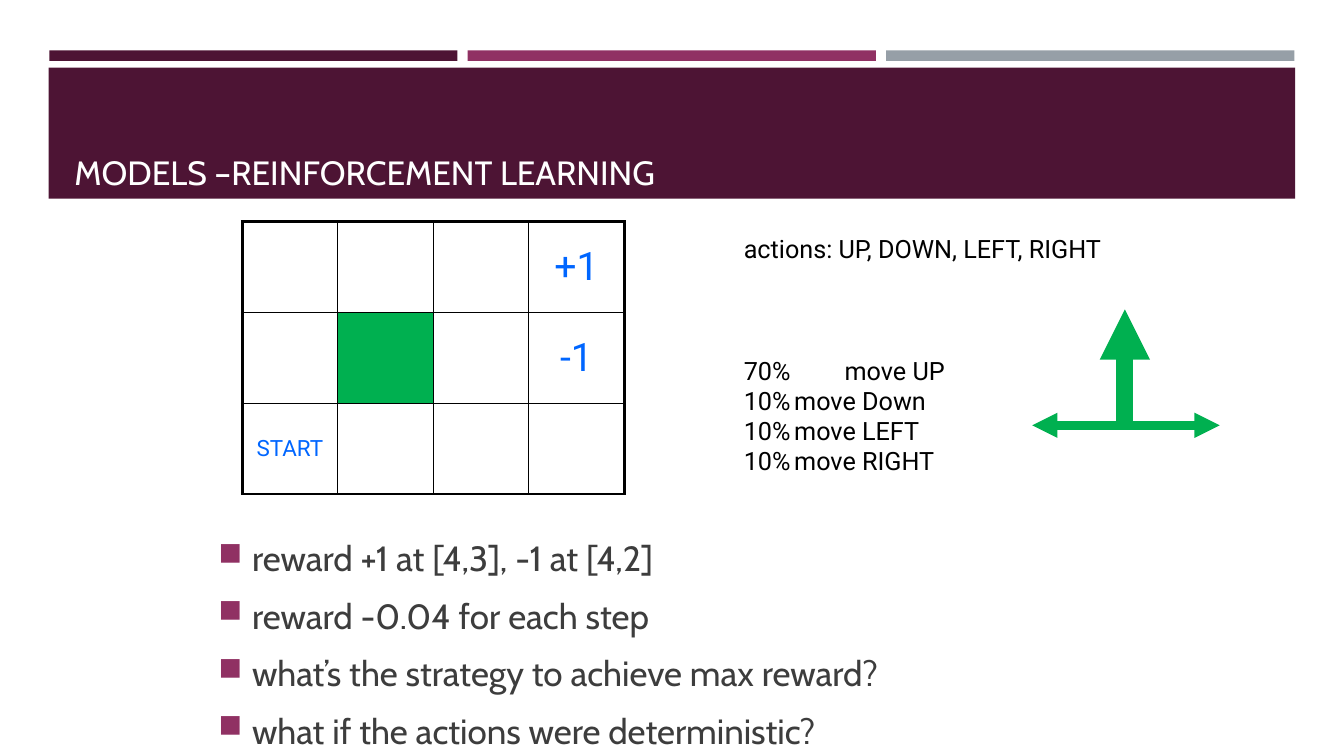
from lxml import etree
from pptx import Presentation
from pptx.dml.color import RGBColor
from pptx.enum.shapes import MSO_CONNECTOR, MSO_SHAPE
from pptx.enum.text import MSO_ANCHOR, PP_ALIGN
from pptx.oxml.ns import qn
from pptx.util import Pt

LINE = MSO_CONNECTOR.STRAIGHT
RECT = MSO_SHAPE.RECTANGLE
CENTER = PP_ALIGN.CENTER
TOP, MIDDLE, BOTTOM = MSO_ANCHOR.TOP, MSO_ANCHOR.MIDDLE, MSO_ANCHOR.BOTTOM

PLUM = RGBColor(0x4D, 0x14, 0x34)
MAGENTA = RGBColor(0x90, 0x31, 0x63)
GRAY = RGBColor(0x96, 0x9F, 0xA7)
GREEN = RGBColor(0x00, 0xB0, 0x50)
BLUE = RGBColor(0x00, 0x66, 0xFF)
DARK = RGBColor(0x3D, 0x3D, 0x3D)
BLACK = RGBColor(0, 0, 0)
WHITE = RGBColor(255, 255, 255)

TITLE = "MODELS –REINFORCEMENT LEARNING"
GRID = [["", "", "", "+1"],
        ["", "", "", "-1"],
        ["START", "", "", ""]]
WALL = (1, 1)
ACTIONS = "actions: UP, DOWN, LEFT, RIGHT"
ODDS = ["70% \tmove UP", "10%\tmove Down", "10%\tmove LEFT", "10%\tmove RIGHT"]
BULLETS = ["reward +1 at [4,3], -1 at [4,2]",
           "reward -0.04 for each step",
           "what’s the strategy to achieve max reward?",
           "what if the actions were deterministic?"]

BAR_COLORS = [PLUM, MAGENTA, GRAY]
BAR_LEFT, BAR_PITCH, BAR_WIDTH = 35.2, 301.5 - 2.6, 291.6
CELL_W, CELL_H = 68.25, 64.8
THIN, THICK = 1, 2.25
HUB = (803.5, 303.8)
ARROWS = [((803.5, 221), 12), ((871.2, 303.8), 6), ((737.3, 303.8), 6)]


def set_font(p, name, size, color):
    p.font.name, p.font.size, p.font.color.rgb = name, Pt(size), color


def sub(parent, tag, **attrs):
    return etree.SubElement(parent, qn(tag), {k: str(v) for k, v in attrs.items()})


def add_band(s, left, top, width, height, color):
    """Add a plain rectangle behind the title."""
    sp = s.shapes.add_shape(RECT, Pt(left), Pt(top), Pt(width), Pt(height))
    sp.shadow.inherit = False
    sp.fill.solid()
    sp.fill.fore_color.rgb = color
    sp.line.fill.background()
    s.shapes.title._element.addprevious(sp._element)


def add_text(s, left, top, width, height, lines):
    tf = s.shapes.add_textbox(Pt(left), Pt(top), Pt(width), Pt(height)).text_frame
    tf.word_wrap = True
    tf.vertical_anchor = TOP
    tf.text = "\n".join(lines)
    return tf.paragraphs


def set_borders(cell, widths):
    """Set left, right, top and bottom border widths, in that order."""
    tcPr = cell._tc.get_or_add_tcPr()
    for side, width in zip("LRTB", widths):
        ln = sub(tcPr, f"a:ln{side}", w=Pt(width))
        sub(sub(ln, "a:solidFill"), "a:srgbClr", val=BLACK)


def add_grid(s):
    rows, cols = len(GRID), len(GRID[0])
    frame = s.shapes.add_table(rows, cols, Pt(173), Pt(158.4),
                               Pt(cols * CELL_W), Pt(rows * CELL_H))
    table = frame.table
    table.first_row = table.horz_banding = False
    for col in table.columns:
        col.width = Pt(CELL_W)
    for r, row in enumerate(GRID):
        table.rows[r].height = Pt(CELL_H)
        for c, text in enumerate(row):
            cell = table.cell(r, c)
            outer = (c == 0, c == cols - 1, r == 0, r == rows - 1)
            set_borders(cell, [THICK if edge else THIN for edge in outer])
            if (r, c) == WALL:
                cell.fill.solid()
                cell.fill.fore_color.rgb = GREEN
            else:
                cell.fill.background()
            cell.vertical_anchor = MIDDLE
            cell.text = text
            p = cell.text_frame.paragraphs[0]
            p.alignment = CENTER
            set_font(p, "Roboto", 16 if text == "START" else 28, BLUE)


def add_arrow(s, end, width):
    line = s.shapes.add_connector(LINE, *map(Pt, HUB + end))
    line.line.color.rgb = GREEN
    line.line.width = Pt(width)
    sub(line.line._get_or_add_ln(), "a:tailEnd", type="triangle")
    sub(line._element.spPr, "a:effectLst")


def main():
    prs = Presentation()
    prs.slide_width, prs.slide_height = Pt(960), Pt(540)
    s = prs.slides.add_slide(prs.slide_layouts[5])

    for i, color in enumerate(BAR_COLORS):
        add_band(s, BAR_LEFT + i * BAR_PITCH, 36, BAR_WIDTH, 7.5, color)
    add_band(s, 34.8, 48.4, 890.4, 93.6, PLUM)

    title = s.shapes.title
    title.left, title.top, title.width, title.height = Pt(46), Pt(55.5), Pt(870), Pt(85.7)
    tf = title.text_frame
    tf.text = TITLE
    tf.vertical_anchor = BOTTOM
    p = tf.paragraphs[0]
    p.alignment = PP_ALIGN.LEFT
    set_font(p, "Cabin", 24, WHITE)

    add_grid(s)

    paragraphs = add_text(s, 524.2, 163.4, 366.5, 203.8, [ACTIONS] + ODDS)
    paragraphs[1].space_before = Pt(65)
    for p in paragraphs:
        tabs = sub(p._p.get_or_add_pPr(), "a:tabLst")
        for pos in (36, 72):
            sub(tabs, "a:tab", pos=Pt(pos), algn="l")
        set_font(p, "Roboto", 18, BLACK)

    for i, p in enumerate(add_text(s, 149, 380, 648, 160, BULLETS)):
        if i:
            p.space_before = Pt(5)
        p.space_after = Pt(6)
        pPr = p._p.get_or_add_pPr()
        pPr.set("marL", str(Pt(24)))
        pPr.set("indent", str(Pt(-24)))
        sub(sub(pPr, "a:buClr"), "a:srgbClr", val=MAGENTA)
        sub(pPr, "a:buSzPct", val=92000)
        sub(pPr, "a:buChar", char="■")
        set_font(p, "Cabin", 25, DARK)

    for end, width in ARROWS:
        add_arrow(s, end, width)

    prs.save("out.pptx")


if __name__ == "__main__":
    main()
